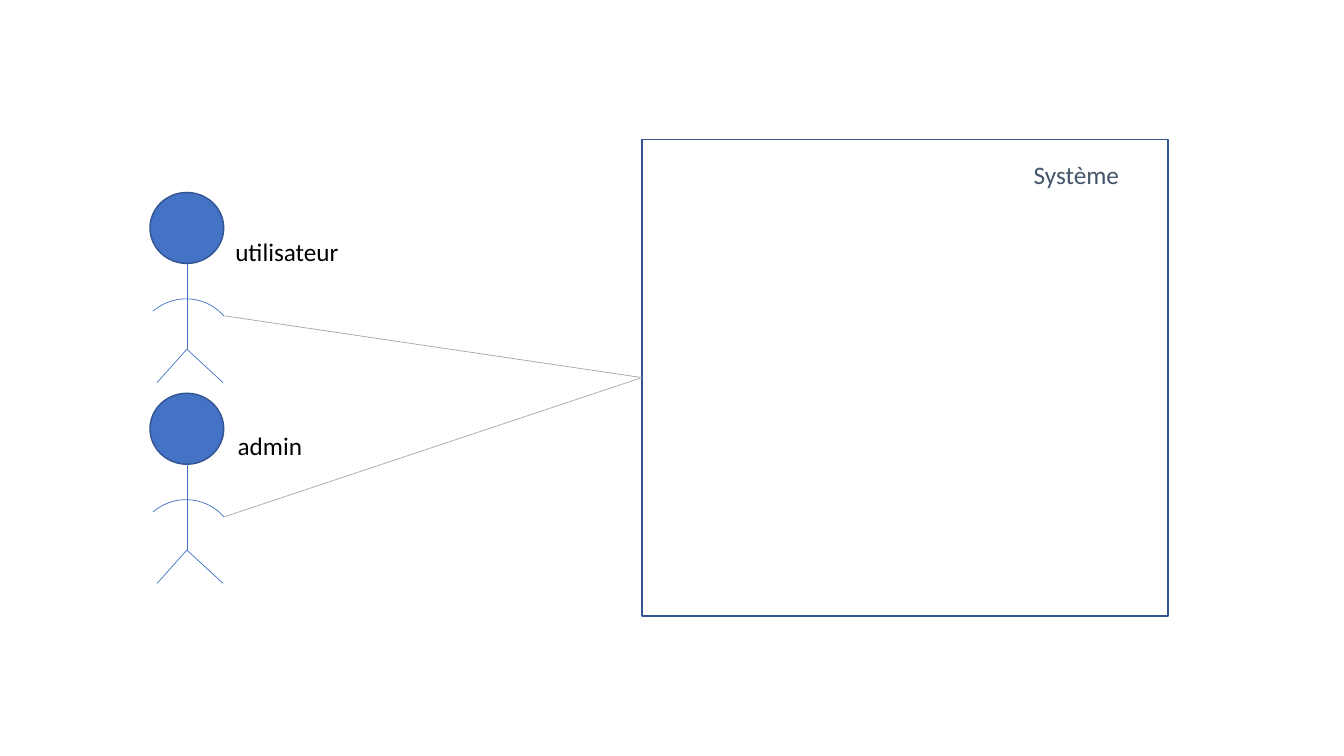
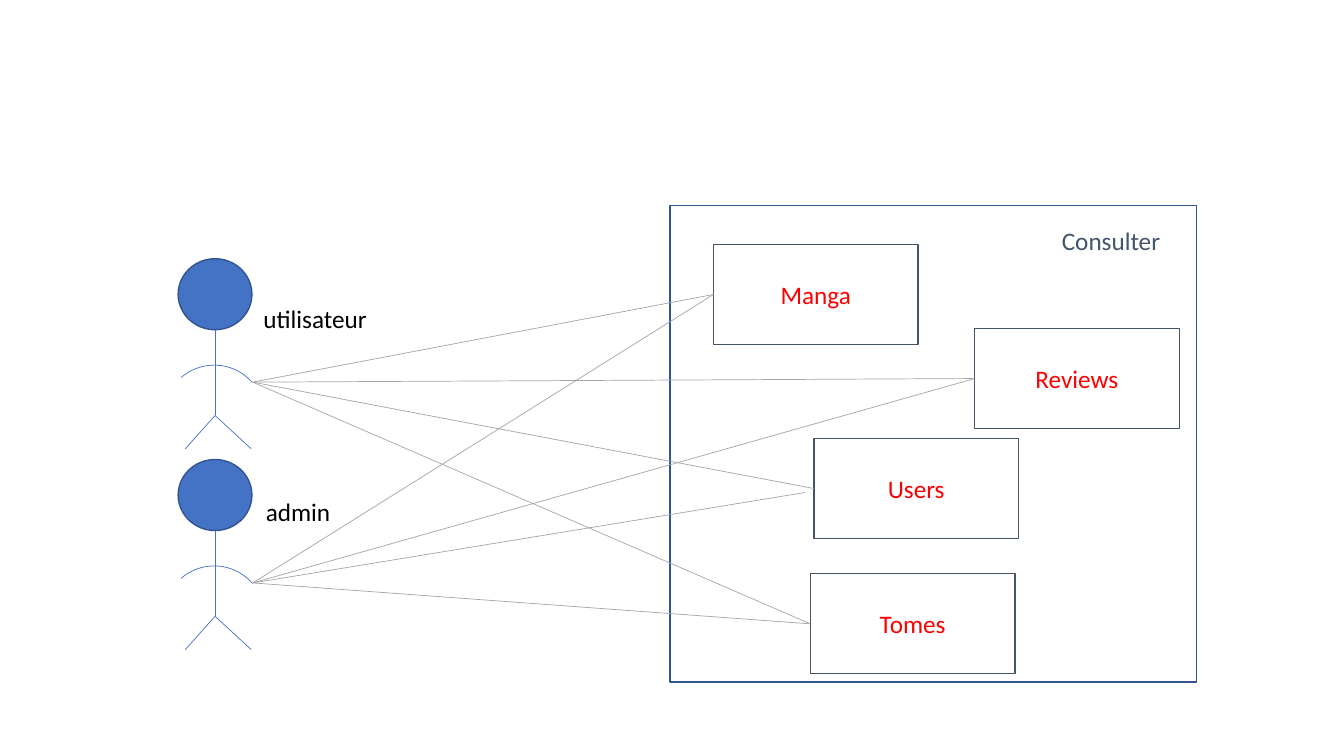
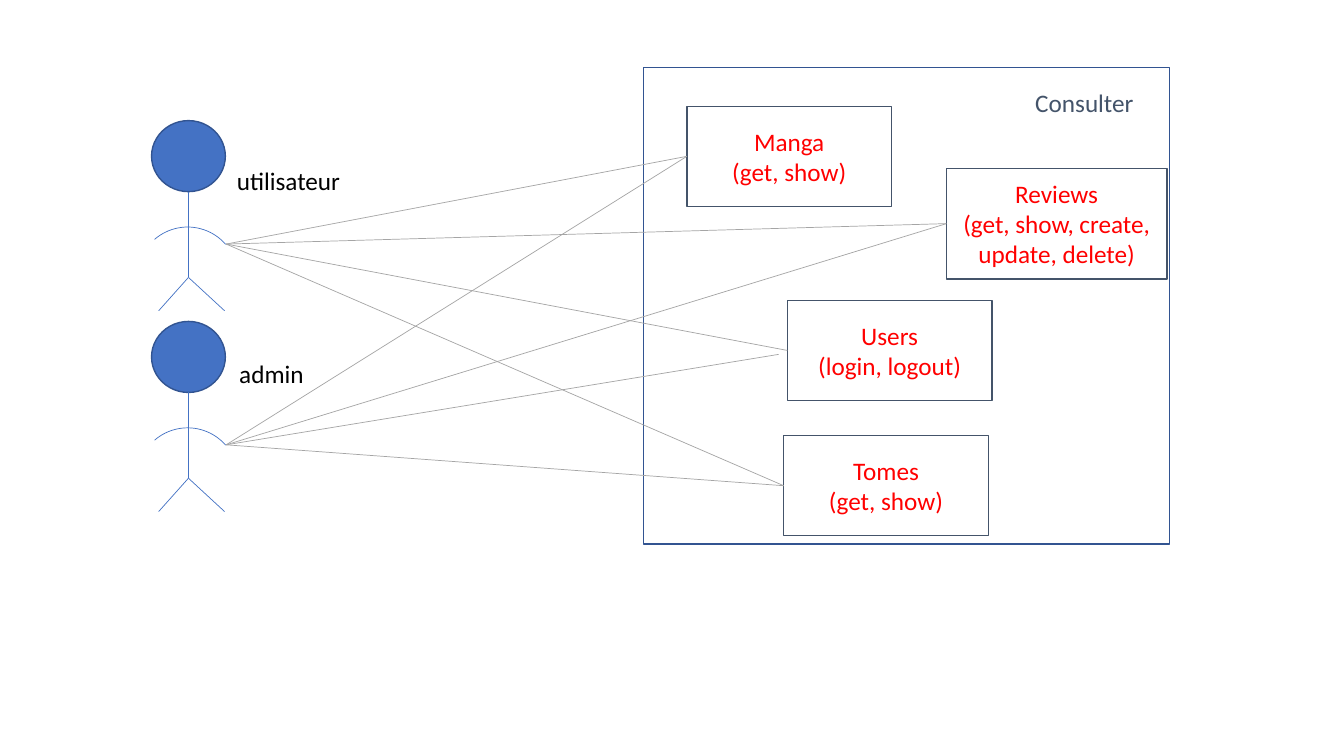
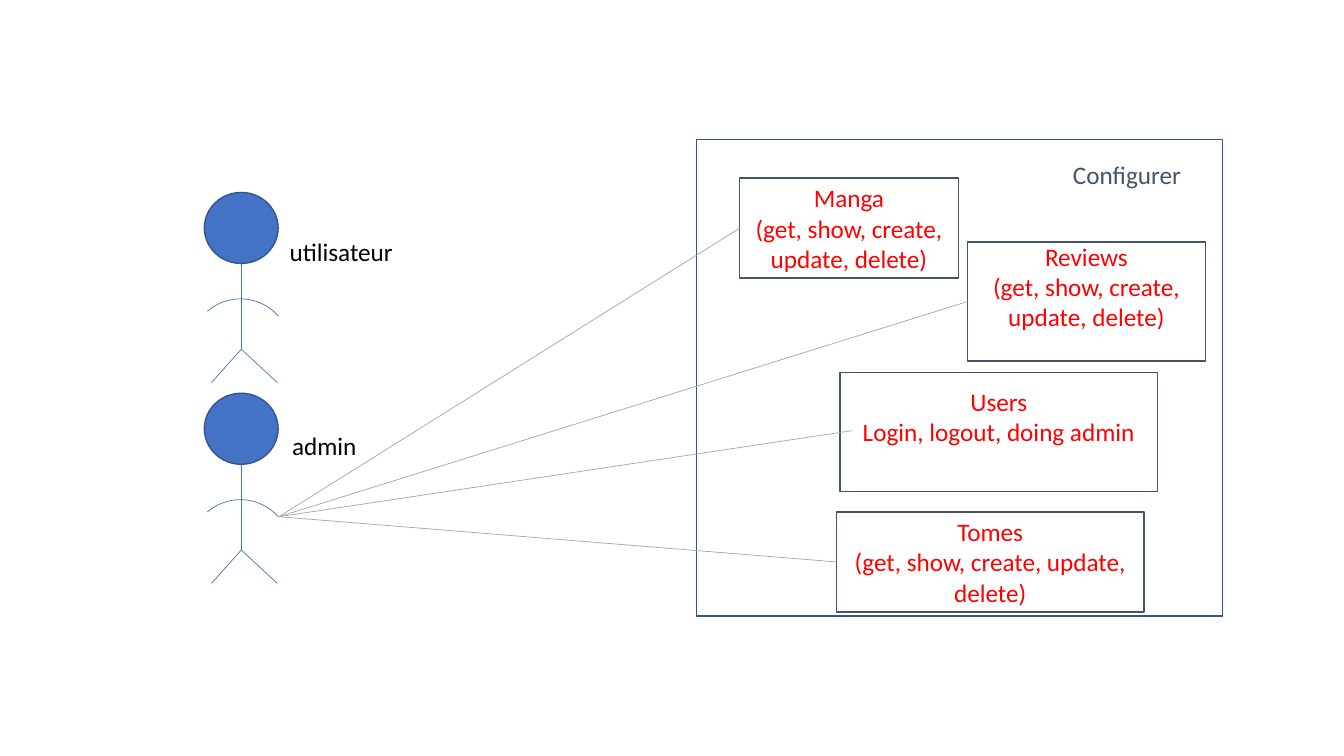
from collections import namedtuple

from lxml.etree import SubElement
from pptx import Presentation
from pptx.dml.color import RGBColor
from pptx.enum.shapes import MSO_CONNECTOR, MSO_SHAPE as Preset
from pptx.enum.text import MSO_ANCHOR, PP_ALIGN
from pptx.oxml.ns import qn
from pptx.util import Cm, Pt

COLORS = {
    "paper": "FFFFFF",
    "figure": "4472C4",
    "outline": "325491",
    "slate": "44546A",
    "use_case": "FF0000",
    "link": "A5A5A5",
    "label": "000000",
}
FONT, FONT_SIZE = "Calibri", 18
SYSTEM_SIZE = (13.26, 12.01)
ACTORS_OFFSET = (-12.4, 1.34)
ACTOR_STEP = 5.06
LABEL_HEIGHT = 1.02
CASE_SIZE = (5.16, 2.52)
CRUD = "(get, show, create, update, delete)"

# Places are in cm from the system's top left corner.
# A tip is where the admin's link ends, measured from the box's left middle.
UseCase = namedtuple("UseCase", "text place size tip bottom",
                     defaults=(CASE_SIZE, (0, 0), 0.13))


def color(name):
    """Return the palette colour of that name."""
    return RGBColor.from_string(COLORS[name])


def write(frame, text, ink, align=PP_ALIGN.LEFT):
    """Fill a text frame with text in the shared font."""
    frame.word_wrap = True
    frame.text = text
    for paragraph in frame.paragraphs:
        paragraph.alignment = align
        for run in paragraph.runs:
            run.font.name, run.font.size = FONT, Pt(FONT_SIZE)
            run.font.color.rgb = color(ink)


def outlined(slide, preset, place, size, line, fill=None, weight=1):
    """Add a preset shape with a plain outline."""
    shape = slide.shapes.add_shape(preset, *map(Cm, (*place, *size)))
    shape.shadow.inherit = False
    if fill:
        shape.fill.solid()
        shape.fill.fore_color.rgb = color(fill)
    else:
        shape.fill.background()
    shape.line.color.rgb = color(line)
    shape.line.width = Pt(weight)
    return shape


def stroke(slide, start, end, ink):
    """Draw a thin straight line."""
    line = slide.shapes.add_connector(
        MSO_CONNECTOR.STRAIGHT, *map(Cm, (*start, *end)))
    line.line.color.rgb = color(ink)
    line.line.width = Pt(0.5)
    SubElement(line._element.spPr, qn("a:effectLst"))


def label(slide, text, place, width, ink):
    """Place a one-line caption."""
    caption = slide.shapes.add_textbox(
        *map(Cm, (*place, width, LABEL_HEIGHT)))
    write(caption.text_frame, text, ink)


def actor(slide, left, top, role, role_offset, role_width):
    """Draw a stick figure with its role and return its hand's position."""
    def at(x, y):
        return left + x, top + y

    outlined(slide, Preset.OVAL, at(0, 0), (1.86, 1.79), "outline", "figure")
    hip = at(0.93, 3.95)
    for start in (at(0.93, 1.79), at(0.18, 4.79), at(1.84, 4.79)):
        stroke(slide, start, hip, "figure")
    arms = outlined(slide, Preset.ARC, at(-0.36, 2.68), (2.54, 2.54),
                    "figure", weight=0.5)
    arms.rotation = 319
    label(slide, role, at(*role_offset), role_width, "label")
    return at(1.88, 3.11)


def actors(slide, left, top):
    """Stack the user above the admin and return both hands."""
    user = actor(slide, left, top, "utilisateur", (1.9, 0.99), 3.94)
    admin = actor(slide, left, top + ACTOR_STEP, "admin", (1.96, 0.8), 2.57)
    return user, admin


def system(slide, left, top, title, title_width):
    """Draw the system frame with its title near the top right corner."""
    outlined(slide, Preset.RECTANGLE, (left, top), SYSTEM_SIZE,
             "outline", "paper")
    label(slide, title, (left + 12.85 - title_width, top + 0.38),
          title_width, "slate")


def use_case(slide, left, top, case):
    """Draw a use case box and return the middle of its left side."""
    x, y = left + case.place[0], top + case.place[1]
    box = outlined(slide, Preset.RECTANGLE, (x, y), case.size,
                   "slate", "paper")
    frame = box.text_frame
    frame.vertical_anchor = MSO_ANCHOR.MIDDLE
    frame.margin_bottom = Cm(case.bottom)
    write(frame, case.text, "use_case", PP_ALIGN.CENTER)
    return x, y + case.size[1] / 2


def diagram(deck, left, top, title, cases=(), title_width=3.23,
            user_linked=True):
    """Build a use case slide around the system frame at left, top."""
    slide = deck.slides.add_slide(deck.slide_layouts[6])
    system(slide, left, top, title, title_width)
    user, admin = actors(slide, left + ACTORS_OFFSET[0],
                         top + ACTORS_OFFSET[1])
    targets = [(use_case(slide, left, top, case), case.tip) for case in cases]
    if not targets:
        targets = [((left, top + SYSTEM_SIZE[1] / 2), (0, 0))]
    for (x, y), (tip_x, tip_y) in targets:
        if user_linked:
            stroke(slide, user, (x, y), "link")
        stroke(slide, admin, (x + tip_x, y + tip_y), "link")


MANGA, USERS, TOMES = (1.09, 0.98), (3.62, 5.87), (3.53, 9.28)
SHORT_TIP = (-0.22, 0.1)

consult = [
    UseCase("Manga", MANGA),
    UseCase("Reviews", (7.67, 3.1)),
    UseCase("Users", USERS, tip=SHORT_TIP),
    UseCase("Tomes", TOMES),
]
consult_actions = [
    UseCase("Manga\n(get, show)", MANGA),
    UseCase(f"Reviews\n{CRUD}", (7.63, 2.54), (5.56, 2.79)),
    UseCase("Users\n(login, logout)", USERS, tip=SHORT_TIP),
    UseCase("Tomes\n(get, show)", TOMES),
]
configure = [
    UseCase(f"Manga\n{CRUD}", MANGA, (5.51, 2.52)),
    UseCase(f"Reviews\n{CRUD}", (6.83, 2.59), (6, 3), bottom=0.9),
    UseCase("Users\nLogin, logout, doing admin", USERS, (8, 3),
            (0.31, -0.03), 0.9),
    UseCase(f"Tomes\n{CRUD}", (3.53, 9.39), (7.75, 2.52)),
]

deck = Presentation()
deck.slide_width, deck.slide_height = Cm(33.87), Cm(19.05)
diagram(deck, 16.18, 3.51, "Système")
diagram(deck, 16.89, 5.18, "Consulter", consult)
diagram(deck, 16.22, 1.7, "Consulter", consult_actions)
diagram(deck, 17.55, 3.51, "Configurer", configure, title_width=3.61,
        user_linked=False)
deck.save("out.pptx")
